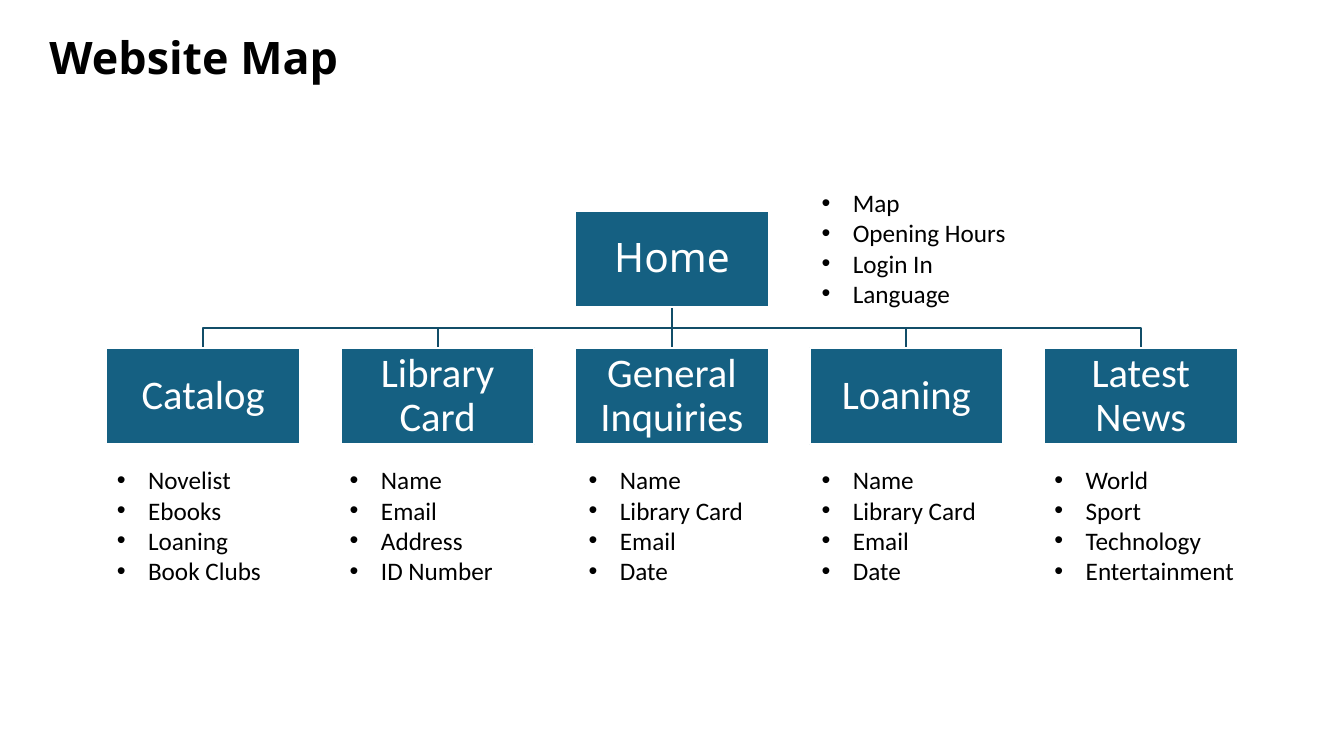
from lxml import etree
from pptx import Presentation
from pptx.dml.color import RGBColor
from pptx.enum.shapes import MSO_CONNECTOR, MSO_SHAPE
from pptx.enum.text import MSO_ANCHOR, MSO_AUTO_SIZE, PP_ALIGN
from pptx.oxml.ns import qn
from pptx.util import Inches, Pt

RECTANGLE = MSO_SHAPE.RECTANGLE
STRAIGHT = MSO_CONNECTOR.STRAIGHT
LEFT, CENTER = PP_ALIGN.LEFT, PP_ALIGN.CENTER
MIDDLE = MSO_ANCHOR.MIDDLE
NO_AUTOFIT = MSO_AUTO_SIZE.NONE
TOP_SIDE, BOTTOM_SIDE = 0, 2

BLUE = RGBColor(0x15, 0x60, 0x82)
DARK_BLUE = RGBColor(0x11, 0x4D, 0x68)
WHITE = RGBColor(0xFF, 0xFF, 0xFF)
BLACK = RGBColor(0, 0, 0)

# Content: page name, left edge of its list, list items
TITLE = "Website Map"
HOME = "Home"
HOME_ITEMS = ["Map", "Opening Hours", "Login In", "Language"]
PAGES = [
    ("Catalog", 1.06, ["Novelist", "Ebooks", "Loaning", "Book Clubs"]),
    ("Library Card", 3.37, ["Name", "Email", "Address", "ID Number"]),
    ("General Inquiries", 5.74, ["Name", "Library Card", "Email", "Date"]),
    ("Loaning", 8.05, ["Name", "Library Card", "Email", "Date"]),
    ("Latest News", 10.36, ["World", "Sport", "Technology", "Entertainment"]),
]

# Text formats
TITLE_FONT = {"name": "Noto Sans", "size": Pt(32), "bold": True}
HOME_FONT = {"name": "Noto Sans", "size": Pt(29)}
PAGE_FONT = {"name": "Calibri", "size": Pt(29)}
LIST_FONT = {"name": "Calibri", "size": Pt(18)}

# Layout in inches
SLIDE_WIDTH, SLIDE_HEIGHT = 13.33, 7.5
BOX_WIDTH, BOX_HEIGHT = 1.92, 0.96
TREE_WIDTH = 9.3  # between the centres of the outer pages
HOME_TOP, BUS_TOP, PAGE_TOP = 2.09, 3.25, 3.45
LIST_WIDTH, LIST_HEIGHT = 2.31, 1.31
HOME_LIST_LEFT, HOME_LIST_TOP, PAGE_LIST_TOP = 8.05, 1.81, 4.56
INDENT = Inches(0.31)


def format_font(font, values, color):
    for name, value in values.items():
        setattr(font, name, value)
    font.color.rgb = color


def format_line(line, color):
    line.color.rgb = color
    line.width = Pt(1.5)


def add_branch(slide, points):
    corners = [(Inches(x), Inches(y)) for x, y in points]
    builder = slide.shapes.build_freeform(*corners[0])
    builder.add_line_segments(corners[1:], close=False)
    branch = builder.convert_to_shape()
    branch.shadow.inherit = False
    branch.fill.background()
    format_line(branch.line, DARK_BLUE)


def add_trunk(slide, x, top, bottom):
    trunk = slide.shapes.add_connector(
        STRAIGHT, Inches(x), Inches(top), Inches(x), Inches(bottom))
    format_line(trunk.line, DARK_BLUE)
    etree.SubElement(trunk._element.spPr, qn("a:effectLst"))
    return trunk


def add_box(slide, center, top, text, font_values):
    box = slide.shapes.add_shape(
        RECTANGLE, Inches(center - BOX_WIDTH / 2), Inches(top),
        Inches(BOX_WIDTH), Inches(BOX_HEIGHT))
    box.shadow.inherit = False
    box.fill.solid()
    box.fill.fore_color.rgb = BLUE
    format_line(box.line, WHITE)
    frame = box.text_frame
    frame.word_wrap = True
    frame.vertical_anchor = MIDDLE
    for side in ("left", "right", "top", "bottom"):
        setattr(frame, f"margin_{side}", Inches(0.02))
    paragraph = frame.paragraphs[0]
    paragraph.text = text
    paragraph.alignment = CENTER
    paragraph.line_spacing = 0.9
    format_font(paragraph.runs[0].font, font_values, WHITE)
    return box


def add_list(slide, left, top, items):
    frame = slide.shapes.add_textbox(
        Inches(left), Inches(top), Inches(LIST_WIDTH), Inches(LIST_HEIGHT)).text_frame
    frame.word_wrap = True
    frame.text = "\n".join(items)
    for paragraph in frame.paragraphs:
        format_font(paragraph.runs[0].font, LIST_FONT, BLACK)
        properties = paragraph._p.get_or_add_pPr()
        properties.set("marL", str(INDENT))
        properties.set("indent", str(-INDENT))
        etree.SubElement(properties, qn("a:buFont"), typeface="Arial")
        etree.SubElement(properties, qn("a:buChar"), char="•")


def main():
    presentation = Presentation()
    presentation.slide_width = Inches(SLIDE_WIDTH)
    presentation.slide_height = Inches(SLIDE_HEIGHT)
    slide = presentation.slides.add_slide(presentation.slide_layouts[5])

    # Title
    title = slide.shapes.title
    title.left, title.top = Inches(0.39), Inches(0.24)
    title.width, title.height = Inches(3.84), Inches(0.64)
    title.text_frame.text = TITLE
    title.text_frame.auto_size = NO_AUTOFIT
    title.text_frame.vertical_anchor = MIDDLE
    paragraph = title.text_frame.paragraphs[0]
    paragraph.alignment = LEFT
    format_font(paragraph.runs[0].font, TITLE_FONT, BLACK)

    # Tree lines, behind the boxes: a straight trunk and bent branches
    home_center = SLIDE_WIDTH / 2
    home_bottom = HOME_TOP + BOX_HEIGHT
    middle = len(PAGES) // 2
    step = TREE_WIDTH / (len(PAGES) - 1)
    centers = [home_center + (index - middle) * step for index in range(len(PAGES))]
    trunk = add_trunk(slide, home_center, home_bottom, PAGE_TOP)
    for center in centers[:middle] + centers[middle + 1:]:
        add_branch(slide, [(home_center, home_bottom), (home_center, BUS_TOP),
                           (center, BUS_TOP), (center, PAGE_TOP)])

    # Home page
    home = add_box(slide, home_center, HOME_TOP, HOME, HOME_FONT)
    add_list(slide, HOME_LIST_LEFT, HOME_LIST_TOP, HOME_ITEMS)

    # Pages with their lists
    boxes = []
    for (name, list_left, items), center in zip(PAGES, centers):
        boxes.append(add_box(slide, center, PAGE_TOP, name, PAGE_FONT))
        add_list(slide, list_left, PAGE_LIST_TOP, items)
    trunk.begin_connect(home, BOTTOM_SIDE)
    trunk.end_connect(boxes[middle], TOP_SIDE)

    presentation.save("out.pptx")


if __name__ == "__main__":
    main()
